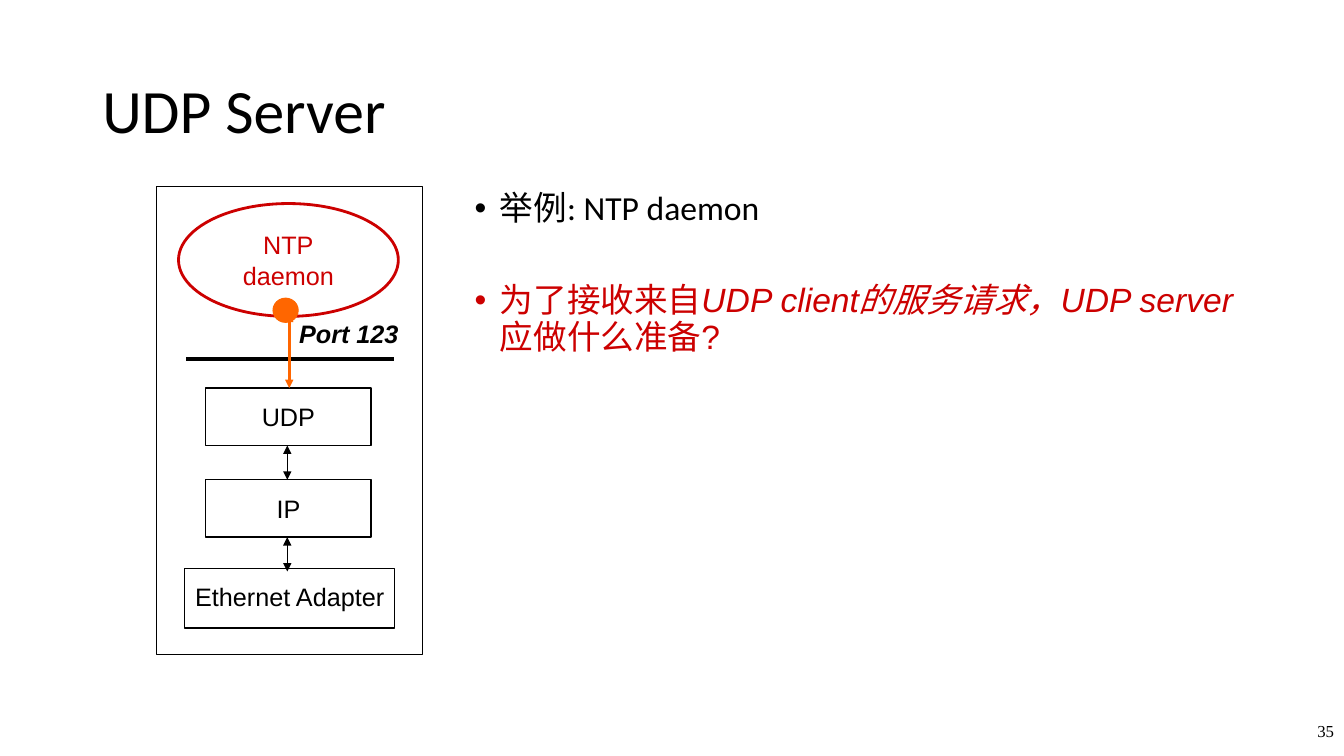
from lxml import etree
from pptx import Presentation
from pptx.dml.color import RGBColor
from pptx.enum import shapes, text
from pptx.oxml.ns import qn
from pptx.util import Pt

THEME = {
    "black": "000000", "red": "CC0000", "orange": "FF6600",
    "heading": "Calibri", "body": "Arial", "number": "Times New Roman",
    "title_size": 44, "bullet_size": 24, "label_size": 18, "number_size": 12,
}

TITLE = "UDP Server"
PAGE = "35"
BLACK_RUN = {"font": THEME["heading"]}
RED_RUN = {"color": THEME["red"]}
BULLETS = [
    [("举例: NTP daemon", BLACK_RUN)],
    [("为了接收来自", RED_RUN),
     ("UDP client的服务请求，UDP server", {**RED_RUN, "italic": True}),
     ("应做什么准备?", RED_RUN)],
]
# label, left, top, width, height
LAYERS = [
    ("UDP", 147, 277.2, 118, 41),
    ("IP", 147, 342.7, 118, 41),
    ("Ethernet Adapter", 132, 406, 150, 42.5),
]
HOST = (111.6, 133.2, 190, 334)
PROCESS = (127.5, 145.4, 157, 80.6)
PORT_DOT = (195, 213, 18, 17.3)
BOUNDARY = (133.2, 256.3, 281.5, 256.3)
PORT_ARROW = (206.6, 224, 206.6, 277.2)
LAYER_AXIS, LAYER_GAP = 205.2, 24.5

prs = Presentation()
prs.slide_width, prs.slide_height = Pt(960), Pt(540)
slide = prs.slides.add_slide(prs.slide_layouts[6])


def rgb(name):
    return RGBColor.from_string(name)


def write(sp, paragraphs, size, font=THEME["body"], color=THEME["black"],
          bold=False, italic=False, align="LEFT", anchor="TOP", wrap=False,
          inset=(7.2, 3.6), line=1.0, gap=0, bullet=False):
    """Fill a shape with paragraphs; each is a string or a list of (text, overrides)."""
    tf = sp.text_frame
    tf.word_wrap = wrap
    tf.vertical_anchor = getattr(text.MSO_ANCHOR, anchor)
    tf.margin_left = tf.margin_right = Pt(inset[0])
    tf.margin_top = tf.margin_bottom = Pt(inset[1])
    for i, runs in enumerate(paragraphs):
        p = tf.add_paragraph() if i else tf.paragraphs[0]
        p.alignment = getattr(text.PP_ALIGN, align)
        p.line_spacing = line
        if i:
            p.space_before = Pt(gap)
        if bullet:
            pPr = p._p.get_or_add_pPr()
            pPr.set("marL", str(Pt(18)))
            pPr.set("indent", str(-Pt(18)))
            etree.SubElement(pPr, qn("a:buFont"), typeface="Arial")
            etree.SubElement(pPr, qn("a:buChar"), char="•")
        for words, changes in [(runs, {})] if isinstance(runs, str) else runs:
            r = p.add_run()
            r.text = words
            r.font.size = Pt(size)
            r.font.name = changes.get("font", font)
            r.font.color.rgb = rgb(changes.get("color", color))
            r.font.bold = bold
            r.font.italic = changes.get("italic", italic)


def add_text(box, paragraphs, size, **fmt):
    write(slide.shapes.add_textbox(*map(Pt, box)), paragraphs, size, **fmt)


def add_outline(kind, box, color=THEME["black"], width=0.75, fill=None):
    sp = slide.shapes.add_shape(getattr(shapes.MSO_SHAPE, kind), *map(Pt, box))
    sp.shadow.inherit = False
    if fill:
        sp.fill.solid()
        sp.fill.fore_color.rgb = rgb(fill)
    else:
        sp.fill.background()
    sp.line.color.rgb = rgb(color)
    sp.line.width = Pt(width)
    return sp


def add_line(ends, color=THEME["black"], width=0.75, arrows=True):
    cx = slide.shapes.add_connector(shapes.MSO_CONNECTOR.STRAIGHT, *map(Pt, ends))
    cx.line.color.rgb = rgb(color)
    cx.line.width = Pt(width)
    if arrows:
        for end in ("a:headEnd", "a:tailEnd"):
            etree.SubElement(cx.line._get_or_add_ln(), qn(end), type="triangle")
    etree.SubElement(cx._element.spPr, qn("a:effectLst"))


add_text((66, 28.8, 828, 104.4), [TITLE], THEME["title_size"],
         font=THEME["heading"], anchor="MIDDLE", wrap=True, line=0.9)
add_text((332, 133.2, 562, 334), BULLETS, THEME["bullet_size"],
         wrap=True, line=0.9, gap=40, bullet=True)
add_text((912, 504, 48, 36), [PAGE], THEME["number_size"], font=THEME["number"],
         align="RIGHT", anchor="MIDDLE", wrap=True)

for label, *box in LAYERS:
    write(add_outline("RECTANGLE", box, width=1), [label], THEME["label_size"],
          align="CENTER", inset=(6.5, 9.4))
for _, _, top, _, height in LAYERS[:-1]:
    bottom = top + height
    add_line((LAYER_AXIS, bottom, LAYER_AXIS, bottom + LAYER_GAP))

write(add_outline("OVAL", PROCESS, THEME["red"], 2), ["NTP", "daemon"],
      THEME["label_size"], color=THEME["red"], align="CENTER", anchor="MIDDLE")
add_line(BOUNDARY, width=3, arrows=False)
add_outline("RECTANGLE", HOST)
add_outline("OVAL", PORT_DOT, THEME["orange"], fill=THEME["orange"])
add_line(PORT_ARROW, THEME["orange"], 2)
add_text((206.6, 224, 86.4, 28.8), ["Port 123"], THEME["label_size"],
         bold=True, italic=True)

prs.save("out.pptx")
